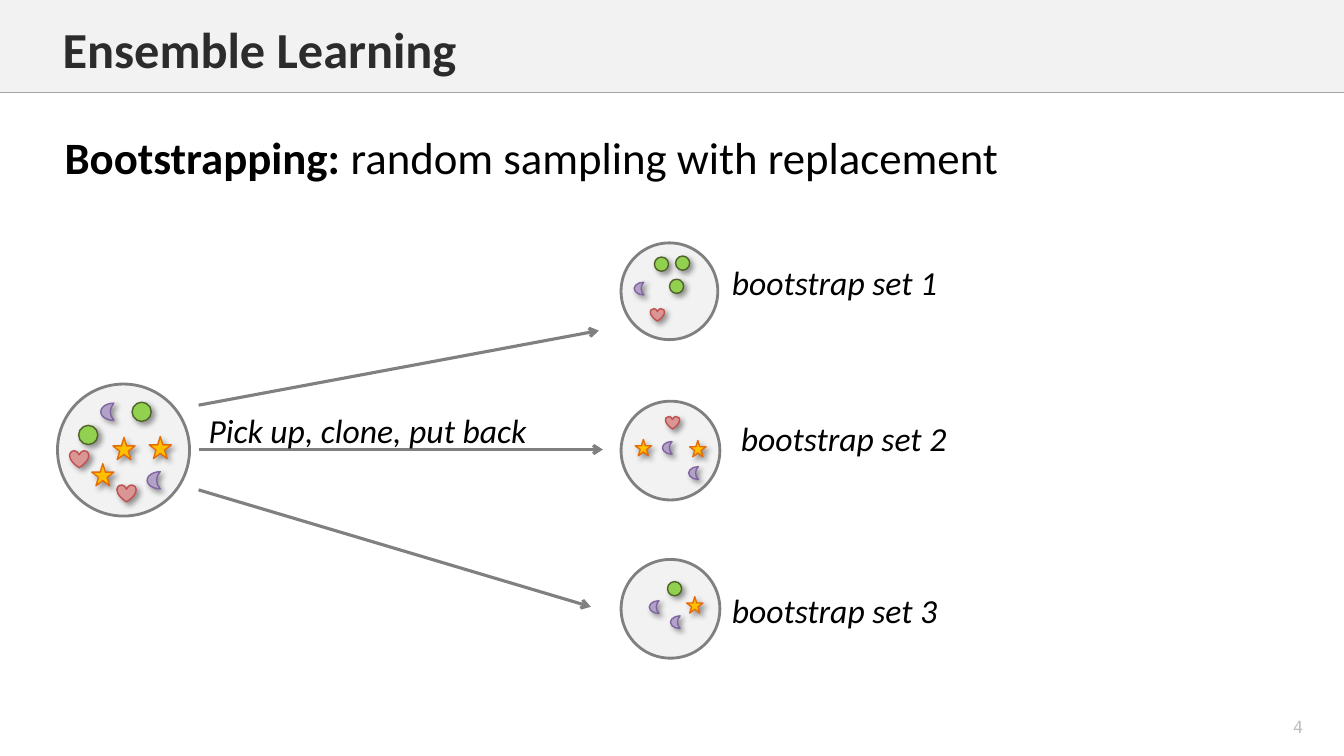
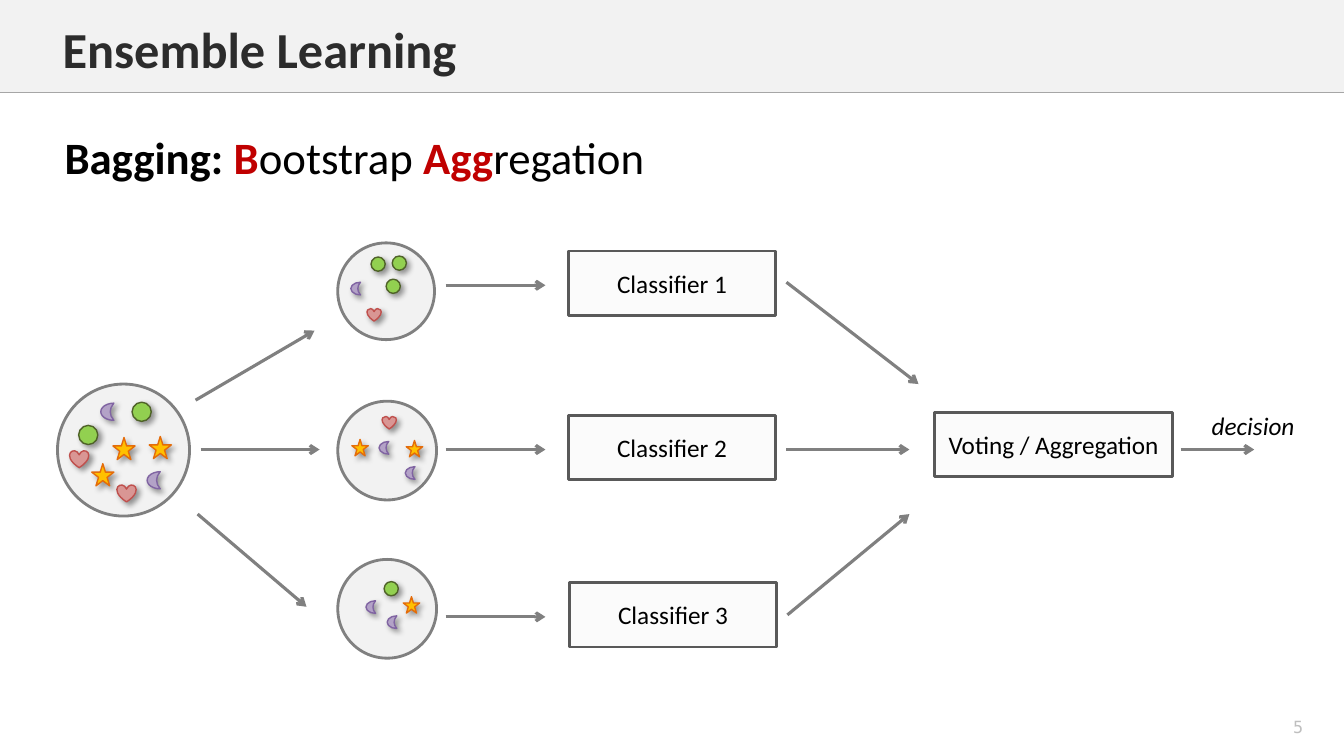
from lxml import etree
from pptx import Presentation, util as u
from pptx.dml.color import RGBColor
from pptx.enum import shapes, text
from pptx.oxml.ns import qn

HUES = {
    "band": "F2F2F2", "rule": "A6A6A6", "page": "BFBFBF", "title": "2C2C2C",
    "ink": "000000", "red": "C00000", "grey": "808080", "edge": "595959",
    "lime": "92D050", "moss": "4F6228", "gold": "FFC000", "rust": "E46C0A",
    "pink": "D99694", "rose": "C0504D", "lilac": "B3A2C7", "plum": "8064A2",
}
KIND = shapes.MSO_SHAPE
ITEMS = {
    "ball": (KIND.OVAL, 0.19, 0.19, "lime", "moss"),
    "star": (KIND.STAR_5_POINT, 0.22, 0.22, "gold", "rust"),
    "heart": (KIND.HEART, 0.19, 0.17, "pink", "rose"),
    "moon": (KIND.MOON, 0.13, 0.17, "lilac", "plum"),
}
SMALL = 0.74

POOL = (3.81, 1.31, 1, [
    ("ball", 0.21, 0.41), ("star", 0.55, 0.53), ("heart", 0.59, 1),
    ("moon", 0.43, 0.19), ("ball", 0.74, 0.18), ("star", 0.34, 0.79),
    ("heart", 0.12, 0.66), ("moon", 0.89, 0.87), ("star", 0.91, 0.52)])
SETS = [
    (2.41, 0.96, SMALL, [
        ("ball", 0.48, 0.36), ("moon", 0.13, 0.39), ("ball", 0.54, 0.13),
        ("heart", 0.29, 0.65), ("ball", 0.33, 0.14)]),
    (3.98, 0.98, SMALL, [
        ("heart", 0.44, 0.15), ("moon", 0.41, 0.4), ("star", 0.14, 0.38),
        ("moon", 0.67, 0.65), ("star", 0.68, 0.39)]),
    (5.55, 0.98, SMALL, [
        ("moon", 0.28, 0.41), ("ball", 0.46, 0.22), ("moon", 0.49, 0.56),
        ("star", 0.65, 0.37)]),
]

BOOT = {
    "page": "4",
    "lead": [("Bootstrapping: ", "ink", True),
             ("random sampling with replacement", "ink", False)],
    "left": 6.16,
    "arrows": [(1.97, 4.02, 5.94, 3.28), (1.97, 4.46, 5.98, 4.46),
               (1.97, 4.86, 5.86, 6.02)],
    "boxes": [],
    "notes": [("bootstrap set 1", 7.16, 2.55, 2.26, 0.5, 24),
              ("bootstrap set 2", 7.25, 4.1, 2.26, 0.5, 24),
              ("bootstrap set 3", 7.16, 5.8, 2.26, 0.5, 24),
              ("Pick up, clone, put back", 1.97, 4.02, 3.49, 0.5, 24)],
}
BAG = {
    "page": "5",
    "lead": [("Bagging: ", "ink", True), ("B", "red", True),
             ("ootstrap ", "ink", False), ("Agg", "red", True),
             ("regation", "ink", False)],
    "left": 3.35,
    "arrows": [(1.94, 3.97, 3.12, 3.28), (1.99, 4.46, 3.17, 4.46),
               (1.96, 5.1, 3.04, 6.02), (7.8, 2.8, 9.11, 3.81),
               (7.8, 4.46, 9.02, 4.46), (7.81, 6.1, 9.02, 5.1),
               (11.71, 4.46, 12.44, 4.46)]
              + [(4.42, y, 5.41, y) for y in (2.83, 4.46, 6.12)],
    "boxes": [("Classifier 1", 5.64, 2.49, 2.05),
              ("Classifier 2", 5.64, 4.12, 2.05),
              ("Classifier 3", 5.65, 5.78, 2.05),
              ("Voting / Aggregation", 9.27, 4.09, 2.36)],
    "notes": [("decision", 11.92, 4.02, 1.03, 0.4, 18)],
}


def inch(*nums):
    return [u.Inches(n) for n in nums]


def hue(name):
    return RGBColor.from_string(HUES[name])


def add(node, tag, **vals):
    return etree.SubElement(node, qn(tag), vals)


def place(shape, *box):
    for key, val in zip(("left", "top", "width", "height"), inch(*box)):
        setattr(shape, key, val)


def write(para, words, tone="ink", size=18, **form):
    run = para.add_run()
    run.text = words
    look = {"name": "Calibri", "size": u.Pt(size), **form}
    for key, val in look.items():
        setattr(run.font, key, val)
    run.font.color.rgb = hue(tone)


def frame(shape, **form):
    body = shape.text_frame
    look = {"word_wrap": True, "auto_size": text.MSO_AUTO_SIZE.NONE,
            "vertical_anchor": text.MSO_ANCHOR.TOP, **form}
    for key, val in look.items():
        setattr(body, key, val)
    return body.paragraphs[0]


def draw(host, kind, box, fill, edge=None, width=1):
    shape = host.add_shape(kind, *inch(*box))
    shape.shadow.inherit = False
    shape.fill.solid()
    shape.fill.fore_color.rgb = hue(fill)
    if edge:
        shape.line.color.rgb = hue(edge)
        shape.line.width = u.Pt(width)
    else:
        shape.line.fill.background()
    return shape


def link(host, ends, tone="grey", width=2.25, arrow=True):
    line = host.add_connector(shapes.MSO_CONNECTOR.STRAIGHT, *inch(*ends))
    line.line.color.rgb = hue(tone)
    line.line.width = u.Pt(width)
    if arrow:
        add(line.line._get_or_add_ln(), "a:tailEnd", type="arrow")
    add(line._element.spPr, "a:effectLst")
    return line


def shade(shape):
    glow = shape._element.spPr.find(qn("a:effectLst"))
    cast = add(glow, "a:outerShdw", blurRad=str(u.Pt(4)), dist=str(u.Pt(3)),
               dir="2700000", algn="tl", rotWithShape="0")
    add(add(cast, "a:srgbClr", val=HUES["ink"]), "a:alpha", val="40000")


def dish(slide, left, top, size, scale, items):
    group = slide.shapes.add_group_shape().shapes
    draw(group, KIND.OVAL, (left, top, size, size), "band", "grey", 2)
    for name, x, y in items:
        kind, wide, high, fill, edge = ITEMS[name]
        box = (left + x, top + y, wide * scale, high * scale)
        icon = draw(group, kind, box, fill, edge)
        if name == "moon":
            icon.adjustments[0] = 0.72
        shade(icon)


def label(slide, words, left, top, wide):
    shape = draw(slide.shapes, KIND.RECTANGLE, (left, top, wide, 0.64),
                 "band", "edge", 2)
    tone = shape._element.spPr.find(qn("a:solidFill"))[0]
    add(tone, "a:alpha", val="25000")
    para = frame(shape, vertical_anchor=text.MSO_ANCHOR.MIDDLE)
    para.alignment = text.PP_ALIGN.CENTER
    write(para, words)


def theme(deck):
    base = deck.slide_layouts[1]
    place(base.placeholders[0], 0.52, 0.13, 11.89, 0.71)
    place(base.placeholders[1], 0.54, 1.24, 10.77, 0.64)
    temp = deck.slides.add_slide(base)
    band = draw(temp.shapes, KIND.RECTANGLE, (0, 0, 13.33, 0.92), "band")
    rule = link(temp.shapes, (0, 0.92, 13.33, 0.92), "rule", 1, False)
    for spot, part in enumerate((band, rule), 2):
        base.shapes._spTree.insert(spot, part._element)
    return base, temp


def build(slide, data):
    para = frame(slide.shapes.title)
    para.alignment = text.PP_ALIGN.LEFT
    write(para, "Ensemble Learning", "title", 36, bold=True)

    para = frame(slide.placeholders[1])
    para.space_before = u.Pt(0)
    props = para._p.get_or_add_pPr()
    for key in ("marL", "indent"):
        props.set(key, "0")
    add(props, "a:buNone")
    for words, tone, bold in data["lead"]:
        write(para, words, tone, 32, bold=bold)

    page = slide.shapes.add_textbox(*inch(12.44, 7.06, 0.87, 0.31))
    para = frame(page, vertical_anchor=text.MSO_ANCHOR.MIDDLE)
    para.alignment = text.PP_ALIGN.CENTER
    write(para, data["page"], "page", 12, name="DejaVu Sans Mono")

    dish(slide, 0.57, *POOL)
    for group in SETS:
        dish(slide, data["left"], *group)
    for ends in data["arrows"]:
        link(slide.shapes, ends)
    for box in data["boxes"]:
        label(slide, *box)
    for words, *box, size in data["notes"]:
        note = slide.shapes.add_textbox(*inch(*box))
        write(frame(note, word_wrap=False), words, size=size, italic=True)


def main():
    deck = Presentation()
    deck.slide_width, deck.slide_height = inch(13.33, 7.5)
    base, first = theme(deck)
    build(first, BOOT)
    build(deck.slides.add_slide(base), BAG)
    deck.save("out.pptx")


if __name__ == "__main__":
    main()
